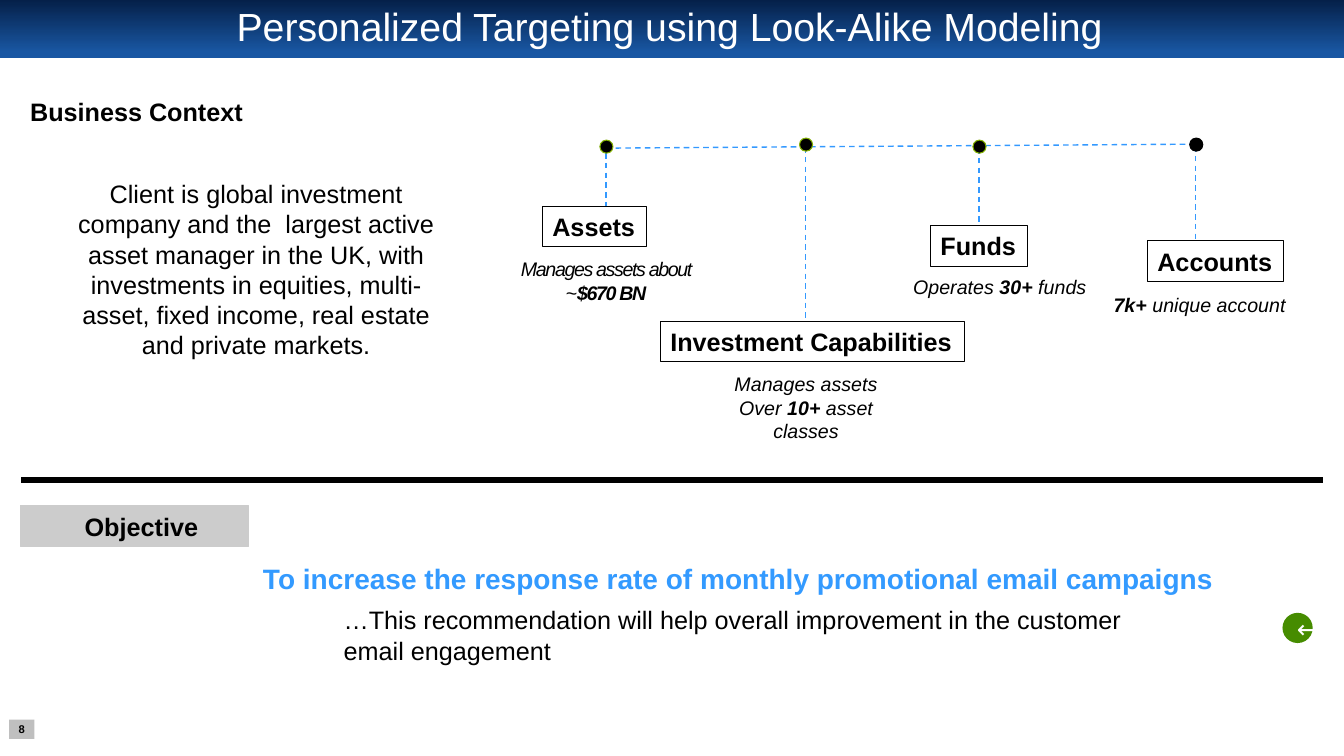
from typing import NamedTuple

from lxml.etree import SubElement
from pptx import Presentation
from pptx.dml.color import RGBColor
from pptx.enum.dml import MSO_LINE_DASH_STYLE as Dash
from pptx.enum.shapes import MSO_CONNECTOR as Connector, MSO_SHAPE as Shape
from pptx.enum.text import MSO_ANCHOR as Anchor, PP_ALIGN as Align
from pptx.oxml.ns import qn
from pptx.util import Emu, Pt

PX = 9144  # 100 px to the inch
COLORS = {
    "black": "000000", "white": "FFFFFF", "navy": "052049", "blue": "1957A3",
    "dash": "3399FF", "goal": "339AFF", "lime": "82B000", "green": "468C00",
    "bar": "CCCCCC", "page": "BFBFBF",
}
DOT = 13
LABEL_HEIGHT = 40


class Box(NamedTuple):
    left: int
    top: int
    width: int
    height: int


class Run(NamedTuple):
    text: str
    bold: bool = False


class Milestone(NamedTuple):
    name: str
    x: int
    dot_top: int
    dot_line: str
    stem: tuple[int, int]
    label: Box
    note: Box
    runs: list[Run]
    spacing: int = 0  # hundredths of a point


MILESTONES = [
    Milestone("Assets", 601, 139, "lime", (152, 209), Box(538, 205, 103, LABEL_HEIGHT),
              Box(504, 250, 194, 57),
              [Run("Manages assets about ~"), Run("$670 BN", True)], -100),
    Milestone("Investment Capabilities", 799, 137, "lime", (146, 319),
              Box(655, 319, 302, LABEL_HEIGHT), Box(706, 364, 187, 81),
              [Run("Manages assets Over "), Run("10+", True), Run(" asset classes")]),
    Milestone("Funds", 971, 139, "lime", (147, 224), Box(923, 224, 96, LABEL_HEIGHT),
              Box(887, 268, 209, 34),
              [Run("Operates "), Run("30+", True), Run(" funds")]),
    Milestone("Accounts", 1186, 137, "black", (145, 237), Box(1138, 239, 135, LABEL_HEIGHT),
              Box(1063, 286, 259, 34),
              [Run("7k+ ", True), Run("unique account ")]),
]


def rgb(name: str) -> RGBColor:
    return RGBColor.from_string(COLORS[name])


def emu(box: Box) -> list[Emu]:
    return [Emu(length * PX) for length in box]


def add_line(start: tuple[int, int], end: tuple[int, int], color: str,
             width: float, dashed: bool = False) -> None:
    line = slide.shapes.add_connector(
        Connector.STRAIGHT, *(Emu(length * PX) for length in (*start, *end)))
    line.line.color.rgb = rgb(color)
    line.line.width = Pt(width)
    if dashed:
        line.line.dash_style = Dash.DASH
    SubElement(line._element.spPr, qn("a:effectLst"))


def add_panel(kind: Shape, box: Box, fill: str, line: str | None = None):
    panel = slide.shapes.add_shape(kind, *emu(box))
    panel.shadow.inherit = False
    panel.fill.solid()
    panel.fill.fore_color.rgb = rgb(fill)
    if line:
        panel.line.color.rgb = rgb(line)
        panel.line.width = Pt(0.75)
    else:
        panel.line.fill.background()
    return panel


def write(shape, runs: list[Run], size: int, color: str = "black",
          align: Align = Align.LEFT, anchor: Anchor = Anchor.TOP, bold: bool = False,
          italic: bool = False, wrap: bool = True, spacing: int = 0,
          font: str = "Arial") -> None:
    frame = shape.text_frame
    frame.word_wrap = wrap
    frame.vertical_anchor = anchor
    paragraph = frame.paragraphs[0]
    paragraph.alignment = align
    paragraph.font.name = font
    paragraph.font.size = Pt(size)
    paragraph.font.color.rgb = rgb(color)
    paragraph.font.bold = bold
    paragraph.font.italic = italic
    for part in runs:
        run = paragraph.add_run()
        run.text = part.text
        if part.bold:
            run.font.bold = True
        if spacing:
            run._r.get_or_add_rPr().set("spc", str(spacing))


def add_text(box: Box, runs: list[Run], size: int, **style) -> None:
    write(slide.shapes.add_textbox(*emu(box)), runs, size, **style)


def add_milestone(item: Milestone) -> None:
    top, bottom = item.stem
    add_line((item.x, top), (item.x, bottom), "dash", 1, dashed=True)
    add_panel(Shape.OVAL, Box(item.x - DOT // 2, item.dot_top, DOT, DOT),
              "black", item.dot_line)
    label = add_panel(Shape.RECTANGLE, item.label, "white", "black")
    write(label, [Run(item.name)], 18, bold=True, wrap=False)
    add_text(item.note, item.runs, 14, align=Align.CENTER, italic=True,
             spacing=item.spacing)


presentation = Presentation()
presentation.slide_width, presentation.slide_height = Emu(1333 * PX), Emu(750 * PX)
slide = presentation.slides.add_slide(presentation.slide_layouts[5])

# Title band, placed behind the title
band = add_panel(Shape.RECTANGLE, Box(0, 0, 1333, 58), "navy")
band.fill.gradient()
band.fill.gradient_angle = 270
for stop, color, position in zip(band.fill.gradient_stops, ("navy", "blue"), (0, 0.9)):
    stop.color.rgb = rgb(color)
    stop.position = position
title = slide.shapes.title
title._element.addprevious(band._element)
title.left, title.top, title.width, title.height = emu(Box(66, 6, 1196, 45))
write(title, [Run("Personalized Targeting using Look-Alike Modeling")], 28, "white",
      Align.CENTER, Anchor.MIDDLE)
title.text_frame.paragraphs[0].line_spacing = 0.9

# Business context
add_text(Box(20, 91, 279, 40), [Run("Business Context")], 18, bold=True)
add_text(Box(50, 172, 408, 192),
         [Run("Client is global investment company and the  largest active asset manager "
              "in the UK, with investments in equities, multi-asset, fixed income, "
              "real estate and private markets.")], 18, align=Align.CENTER)

# Timeline of key figures
add_line((601, 147), (1186, 143), "dash", 1, dashed=True)
for milestone in MILESTONES:
    add_milestone(milestone)

# Objective
add_line((21, 476), (1312, 476), "black", 4.5)
objective = add_panel(Shape.RECTANGLE, Box(20, 502, 227, 40), "bar", "bar")
write(objective, [Run("Objective")], 18, bold=True)
objective.text_frame.margin_left = Emu(64 * PX)
add_text(Box(251, 552, 1028, 44),
         [Run("To increase the response rate of monthly promotional email campaigns")],
         20, color="goal", bold=True)
add_text(Box(331, 595, 822, 71),
         [Run("…This recommendation will help overall improvement in the customer "
              "email engagement")], 18)

# Back button and page number
back = add_panel(Shape.OVAL, Box(1272, 608, 30, 30), "green")
write(back, [Run("←")], 18, "white", Align.CENTER, Anchor.MIDDLE, font="Roboto")
page = add_panel(Shape.RECTANGLE, Box(9, 714, 25, 19), "page")
write(page, [Run("8")], 8, align=Align.CENTER, anchor=Anchor.MIDDLE, bold=True, wrap=False)
frame = page.text_frame
frame.margin_left = frame.margin_right = frame.margin_top = frame.margin_bottom = 0

presentation.save("out.pptx")
